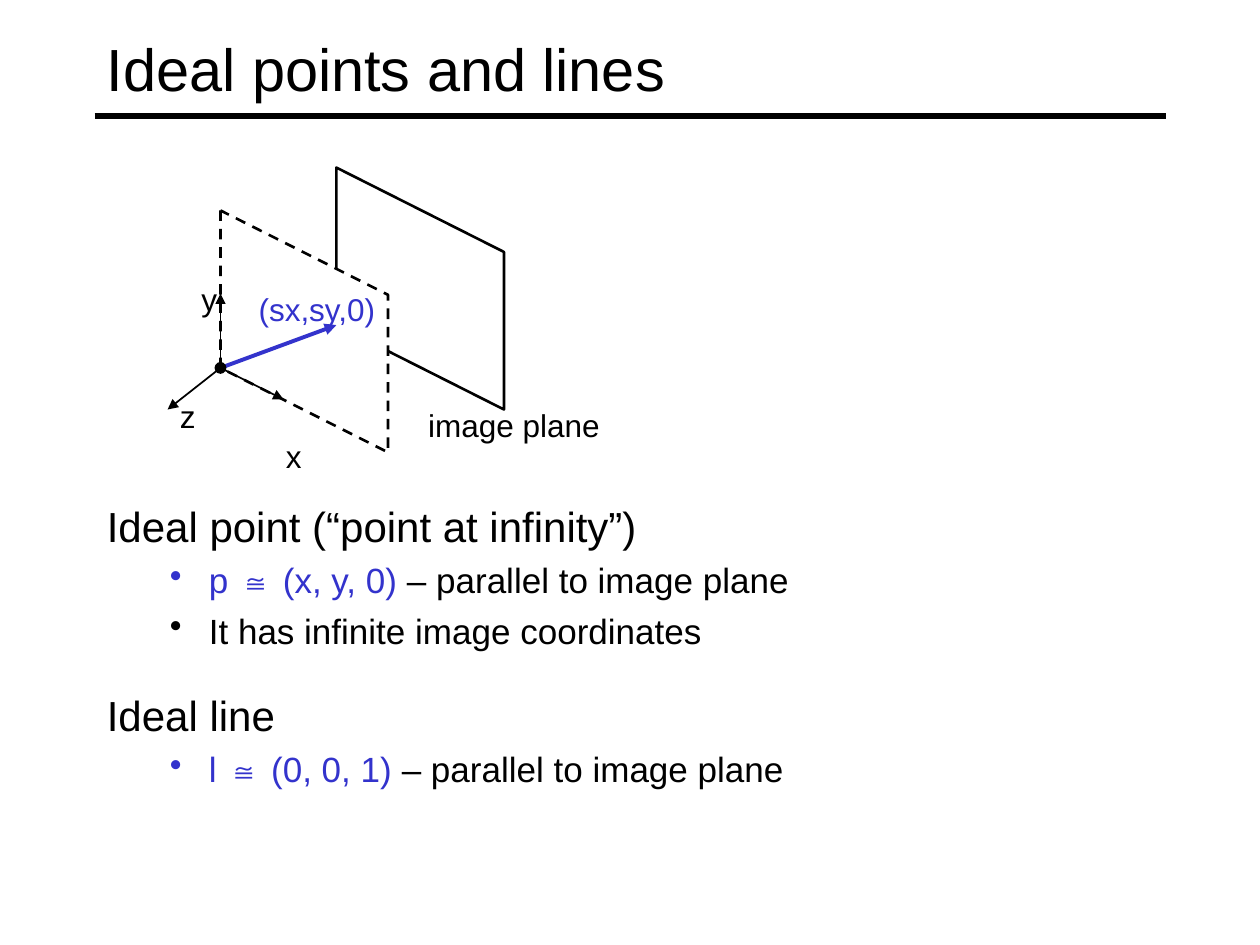
from lxml import etree
from pptx import Presentation
from pptx import util as u
from pptx.dml.color import RGBColor
from pptx.enum import dml, shapes, text
from pptx.oxml import ns

COLORS = {"ink": "000000", "accent": "3333CC", "paper": "FFFFFF"}
MIDDLE = text.MSO_ANCHOR.MIDDLE


class Sketch:
    """Holds the style and the slide being drawn."""

    font = "Arial"

    def __init__(self, slide):
        self.slide = slide
        self.canvas = slide.shapes

    def start_group(self):
        self.canvas = self.slide.shapes.add_group_shape().shapes

    def end_group(self):
        self.canvas = self.slide.shapes

    def color(self, name):
        return RGBColor.from_string(COLORS[name])

    def outline(self, shape, color, width):
        shape.line.color.rgb = self.color(color)
        shape.line.width = u.Pt(width)

    def fill(self, shape, color):
        shape.fill.solid()
        shape.fill.fore_color.rgb = self.color(color)
        shape.shadow.inherit = False

    def spans(self, para, parts, size):
        for words, color in parts:
            span = para.add_run()
            span.text = words
            for key, value in {"name": self.font, "size": u.Pt(size)}.items():
                setattr(span.font, key, value)
            span.font.color.rgb = self.color(color)

    def box(self, left, top, width, height, **frame_format):
        box = self.canvas.add_textbox(*map(u.Inches, (left, top, width, height)))
        for key, value in {"word_wrap": True, **frame_format}.items():
            setattr(box.text_frame, key, value)
        return box.text_frame

    def label(self, words, left, top, width, color="ink", size=18, height=0.4,
              align=None, **frame_format):
        frame = self.box(left, top, width, height, **frame_format)
        para = frame.paragraphs[0]
        para.alignment = align
        self.spans(para, [(words, color)], size)

    def topic(self, top, heading, points):
        """A heading followed by bulleted points."""
        frame = self.box(0.75, top, 8.5, 1.58)
        self.spans(frame.paragraphs[0], [(heading, "ink")], 24)
        for parts in points:
            para = frame.add_paragraph()
            para.level = 1
            para.space_before = u.Pt(4.8)
            props = para._p.get_or_add_pPr()
            props.set("marL", str(u.Inches(0.81)))
            props.set("indent", str(u.Inches(-0.31)))
            etree.SubElement(props, ns.qn("a:buChar")).set("char", "•")
            self.spans(para, parts, 20)

    def line(self, start, end, color="ink", width=1, arrow=True):
        ends = map(u.Inches, (*start, *end))
        line = self.canvas.add_connector(shapes.MSO_CONNECTOR.STRAIGHT, *ends)
        self.outline(line, color, width)
        if arrow:
            tip = etree.SubElement(line.line._get_or_add_ln(), ns.qn("a:tailEnd"))
            tip.set("type", "triangle")
        etree.SubElement(line._element.spPr, ns.qn("a:effectLst"))

    def plane(self, left, top, dash=None):
        """A rectangle seen at an angle, from its upper left corner."""
        width, height, drop = 1.33, 1.25, 0.67
        corners = [(left, top + height), (left + width, top + height + drop),
                   (left + width, top + drop)]
        pen = self.canvas.build_freeform(u.Inches(left), u.Inches(top))
        pen.add_line_segments([(u.Inches(x), u.Inches(y)) for x, y in corners])
        plane = pen.convert_to_shape()
        self.fill(plane, "paper")
        self.outline(plane, "ink", 1.5)
        plane.line.dash_style = dash

    def dot(self, center, size):
        left, top = (u.Inches(value - size / 2) for value in center)
        dot = self.canvas.add_shape(shapes.MSO_SHAPE.OVAL, left, top,
                                    u.Inches(size), u.Inches(size))
        self.fill(dot, "ink")
        self.outline(dot, "ink", 1)


def main():
    deck = Presentation()
    deck.slide_width, deck.slide_height = u.Inches(10), u.Inches(7.5)
    page = Sketch(deck.slides.add_slide(deck.slide_layouts[6]))

    # Title and rule
    page.line((0.75, 0.92), (9.25, 0.92), width=3, arrow=False)
    page.label("Ideal points and lines", 0.75, 0.08, 8.5, size=34, height=0.92,
               vertical_anchor=MIDDLE)

    # Ideal point
    parallel = (" – parallel to image plane", "ink")
    page.topic(3.92, "Ideal point (“point at infinity”)", [
        [("p ≅ (x, y, 0)", "accent"), parallel],
        [("It has infinite image coordinates", "ink")],
    ])

    # Diagram: image plane, parallel plane through the origin, axes
    page.start_group()
    origin = (1.75, 2.92)
    page.plane(2.67, 1.33)
    page.plane(1.75, 1.67, dml.MSO_LINE.DASH)
    page.line(origin, (2.67, 2.58), "accent", 2.25)
    for axis_end in [(1.75, 2.33), (2.25, 3.17), (1.33, 3.25)]:
        page.line(origin, axis_end)
    page.dot(origin, 0.08)

    # Diagram labels
    page.label("(sx,sy,0)", 1.94, 2.25, 1.15, "accent", word_wrap=False,
               align=text.PP_ALIGN.CENTER, vertical_anchor=MIDDLE)
    for words, left, top, width in [("y", 1.5, 2.17, 0.33), ("x", 2.17, 3.42, 0.33),
                                    ("z", 1.33, 3.1, 0.33),
                                    ("image plane", 3.3, 3.17, 1.56)]:
        page.label(words, left, top, width, word_wrap=False)
    page.end_group()

    # Ideal line
    page.topic(5.42, "Ideal line", [[("l ≅ (0, 0, 1)", "accent"), parallel]])

    deck.save("out.pptx")


if __name__ == "__main__":
    main()
